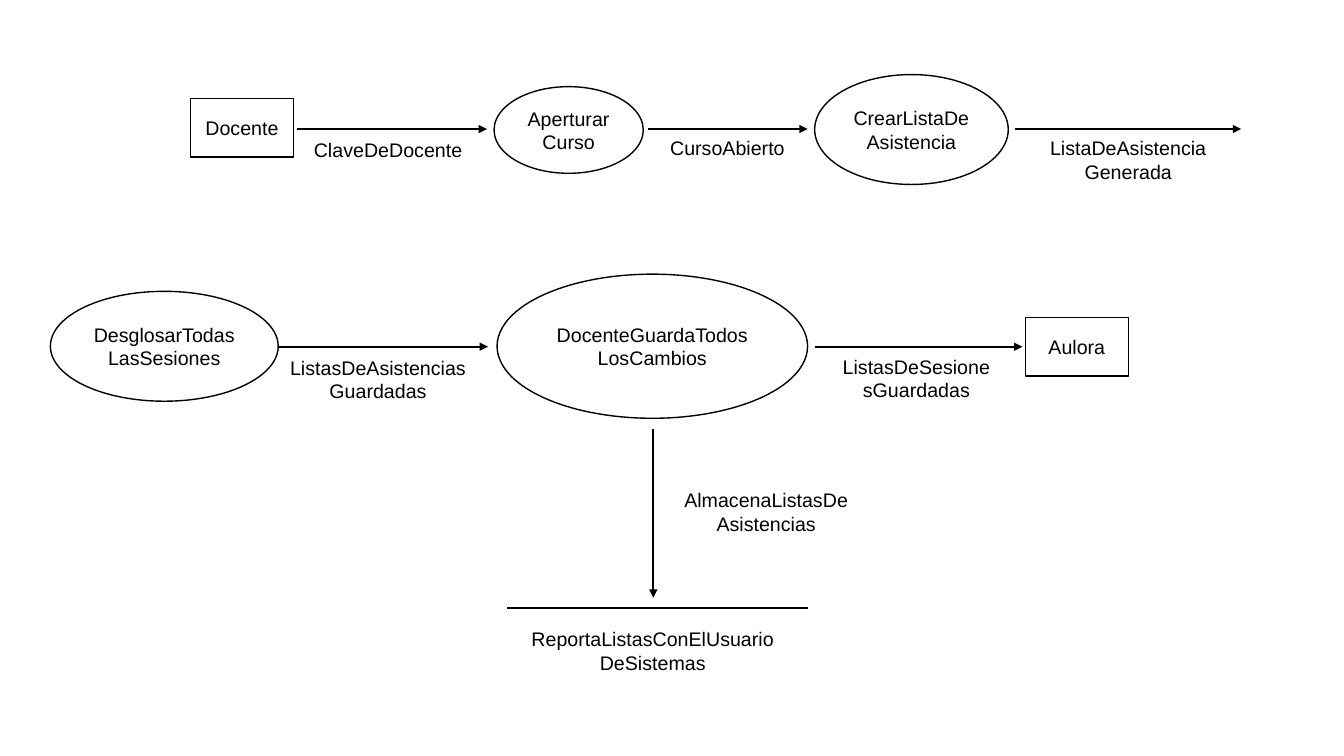
from lxml.etree import SubElement
from pptx import Presentation
from pptx.dml.color import RGBColor
from pptx.enum.shapes import MSO_CONNECTOR, MSO_SHAPE
from pptx.enum.text import MSO_ANCHOR, PP_ALIGN
from pptx.oxml.ns import qn
from pptx.util import Inches, Pt

BLACK = RGBColor(0, 0, 0)
WHITE = RGBColor(255, 255, 255)
FONT = "Arial"
TOP = 1.28
MID = 3.44
AXIS = 6.48

NODES = [
    (MSO_SHAPE.RECTANGLE, ["Docente"], (1.89, 0.98, 1.02, 0.58), None),
    (MSO_SHAPE.OVAL, ["Aperturar", "Curso"], (4.9, 0.86, 1.48, 0.86), None),
    (MSO_SHAPE.OVAL, ["CrearListaDe", "Asistencia"], (8.08, 0.74, 1.92, 1.09), None),
    (MSO_SHAPE.OVAL, ["DesglosarTodas", "LasSesiones"], (0.5, 2.89, 2.26, 1.09), None),
    (MSO_SHAPE.OVAL, ["DocenteGuardaTodos", "LosCambios"], (4.93, 2.72, 3.08, 1.43), WHITE),
    (MSO_SHAPE.RECTANGLE, ["Aulora"], (10.17, 3.15, 1.02, 0.58), WHITE),
]

LABELS = [
    (["ClaveDeDocente"], (2.97, 1.31, 1.76, 0.36), None),
    (["CursoAbierto"], (6.42, 1.29, 1.59, 0.35), None),
    (["ListaDeAsistencia", "Generada"], (10.27, 1.34, 1.84, 0.49), None),
    (["ListasDeAsistencias", "Guardadas"], (2.77, 3.5, 1.96, 0.52), None),
    (["ListasDeSesione", "sGuardadas"], (8.21, 3.48, 1.76, 0.54), WHITE),
    (["AlmacenaListasDe", "Asistencias"], (6.67, 4.84, 1.86, 0.47), WHITE),
    (["ReportaListasConElUsuario", "DeSistemas"], (5.11, 6.03, 2.73, 0.85), WHITE),
]

FLOWS = [
    (2.95, TOP, 4.83, TOP),
    (6.43, TOP, 8.01, TOP),
    (10.07, TOP, 12.31, TOP),
    (2.77, MID, 4.84, MID),
    (8.08, MID, 10.14, MID),
    (AXIS, 4.26, AXIS, 5.93),
]
STORE = (5.03, 6.03, 8.01, 6.03)


def set_text(shape, lines):
    frame = shape.text_frame
    frame.word_wrap = True
    frame.vertical_anchor = MSO_ANCHOR.MIDDLE
    frame.margin_left = frame.margin_right = Inches(0.05)
    frame.margin_top = frame.margin_bottom = 0
    para = frame.paragraphs[0]
    para.alignment = PP_ALIGN.CENTER
    para.font.name = FONT
    para.font.size = Pt(14)
    para.font.color.rgb = BLACK
    for index, line in enumerate(lines):
        if index:
            para.add_line_break()
        para.add_run().text = line


def set_fill(shape, color):
    if color is None:
        shape.fill.background()
    else:
        shape.fill.solid()
        shape.fill.fore_color.rgb = color


def add_node(slide, kind, lines, box, fill):
    node = slide.shapes.add_shape(kind, *map(Inches, box))
    node.shadow.inherit = False
    set_fill(node, fill)
    node.line.color.rgb = BLACK
    node.line.width = Pt(1)
    set_text(node, lines)


def add_label(slide, lines, box, fill):
    label = slide.shapes.add_textbox(*map(Inches, box))
    set_fill(label, fill)
    set_text(label, lines)


def add_line(slide, ends, arrow=True):
    line = slide.shapes.add_connector(MSO_CONNECTOR.STRAIGHT, *map(Inches, ends))
    line.line.color.rgb = BLACK
    line.line.width = Pt(1.5)
    if arrow:
        SubElement(line.line._get_or_add_ln(), qn("a:tailEnd"), type="triangle")
    SubElement(line._element.spPr, qn("a:effectLst"))


def main():
    deck = Presentation()
    deck.slide_width = Inches(13.33)
    deck.slide_height = Inches(7.5)
    slide = deck.slides.add_slide(deck.slide_layouts[6])
    for node in NODES:
        add_node(slide, *node)
    for label in LABELS:
        add_label(slide, *label)
    for flow in FLOWS:
        add_line(slide, flow)
    add_line(slide, STORE, arrow=False)
    deck.save("out.pptx")


if __name__ == "__main__":
    main()
